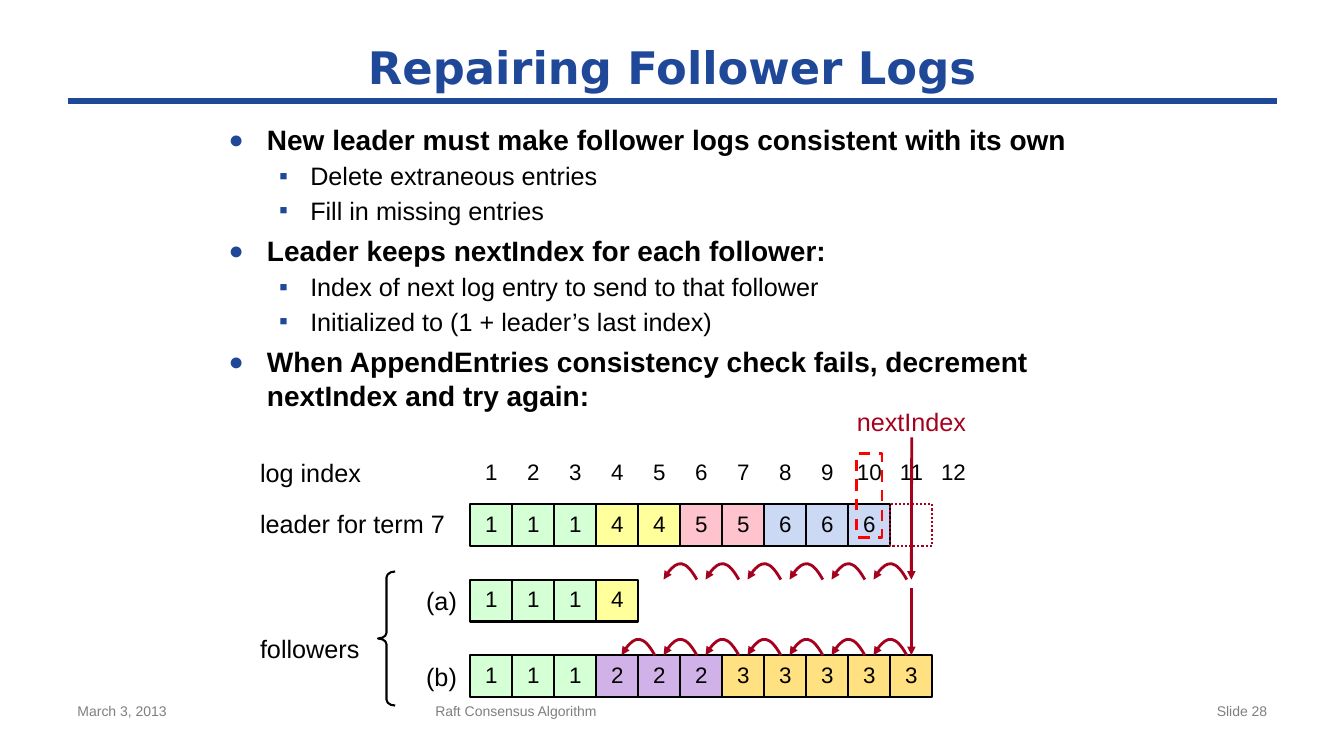
"""Build the slide on repairing follower logs in Raft."""
from dataclasses import dataclass, field

from lxml import etree
from pptx import Presentation
from pptx.dml.color import RGBColor
from pptx.enum.dml import MSO_LINE
from pptx.enum.shapes import MSO_CONNECTOR, MSO_SHAPE
from pptx.enum.text import MSO_ANCHOR, PP_ALIGN
from pptx.oxml.ns import qn
from pptx.shapes.autoshape import Shape
from pptx.shapes.connector import Connector
from pptx.slide import Slide
from pptx.text.text import TextFrame, _Paragraph
from pptx.util import Inches, Pt

LEFT, CENTER, RIGHT = PP_ALIGN.LEFT, PP_ALIGN.CENTER, PP_ALIGN.RIGHT
TOP, MIDDLE = MSO_ANCHOR.TOP, MSO_ANCHOR.MIDDLE
RECTANGLE, LEFT_BRACE = MSO_SHAPE.RECTANGLE, MSO_SHAPE.LEFT_BRACE
STRAIGHT = MSO_CONNECTOR.STRAIGHT
DASH, DOT = MSO_LINE.DASH, MSO_LINE.ROUND_DOT
TOP_SIDE, BOTTOM_SIDE = 0, 2


@dataclass(frozen=True)
class Theme:
    blue: str = "1F4899"
    black: str = "000000"
    gray: str = "7F7F7F"
    crimson: str = "A5001E"
    red: str = "FF0000"
    body_font: str = "Arial"
    title_font: str = "DejaVu Sans"
    title_size: int = 32
    point_size: int = 20
    label_size: int = 18
    cell_size: int = 16
    footer_size: int = 10
    terms: dict[str, str] = field(default_factory=lambda: {
        "1": "D5FFD5", "2": "D1B2E8", "3": "FFE181",
        "4": "FFFF9B", "5": "FFC3CE", "6": "CCD9F4"})


THEME = Theme()
CELL = 5 / 12
LOG_LEFT = 14 / 3
INDEX_COUNT = 12
ARC_LEFT, ARC_WIDTH, ARC_RISE = 26 / 3, 0.33, 0.15


@dataclass(frozen=True)
class TextStyle:
    size: int = THEME.label_size
    color: str = THEME.black
    font: str = THEME.body_font
    bold: bool = False
    align: PP_ALIGN = LEFT
    spacing: int | None = None


@dataclass(frozen=True)
class Label:
    text: str
    left: float
    top: float
    width: float
    height: float
    style: TextStyle = TextStyle()
    padded: bool = False
    wrap: bool = True
    anchor: MSO_ANCHOR = TOP


@dataclass(frozen=True)
class Level:
    bullet: str
    percent: int
    margin: float
    indent: float
    before: int
    style: TextStyle


@dataclass(frozen=True)
class Log:
    top: float
    terms: str
    arcs: int = 0


FOOTER = TextStyle(THEME.footer_size, THEME.gray)
FOOTER_RIGHT = TextStyle(THEME.footer_size, THEME.gray, align=RIGHT)
TITLE = TextStyle(THEME.title_size, THEME.blue, THEME.title_font, True, CENTER)
CELL_TEXT = TextStyle(THEME.cell_size, align=CENTER, spacing=17)
INDEX_TEXT = TextStyle(THEME.cell_size, align=CENTER)
TIGHT = TextStyle(spacing=19)
CENTERED = TextStyle(align=CENTER)
NEXT_INDEX = Label("nextIndex", 8.5, 4.07, 1.09, 0.27,
                   TextStyle(color=THEME.crimson, spacing=19), wrap=False)

LABELS = (
    Label("Repairing Follower Logs", 0.67, 0.33, 12, 0.67, TITLE, True, anchor=MIDDLE),
    Label("March 3, 2013", 0.67, 6.92, 3.11, 0.43, FOOTER, True),
    Label("Raft Consensus Algorithm", 4.22, 6.92, 5, 0.43, FOOTER, True),
    Label("Slide 28", 9.56, 6.92, 3.11, 0.43, FOOTER_RIGHT, True),
    Label("log index", 2.58, 4.54, 1.25, 0.3),
    Label("leader for term 7", 2.58, 5.08, 2, 0.27, TIGHT),
    Label("followers", 2.58, 6.32, 1, 0.27, TIGHT),
    Label("(a)", 4.17, 5.81, 0.42, 0.3, CENTERED),
    Label("(b)", 4.17, 6.56, 0.42, 0.3, CENTERED),
)
POINT = Level("●", 90, 0.38, -0.38, 6, TextStyle(THEME.point_size, bold=True))
DETAIL = Level("▪", 100, 0.81, -0.31, 3, TextStyle())
POINTS = (
    (POINT, "New leader must make follower logs consistent with its own"),
    (DETAIL, "Delete extraneous entries"),
    (DETAIL, "Fill in missing entries"),
    (POINT, "Leader keeps nextIndex for each follower:"),
    (DETAIL, "Index of next log entry to send to that follower"),
    (DETAIL, "Initialized to (1 + leader’s last index)"),
    (POINT, "When AppendEntries consistency check fails, decrement nextIndex and try again:"),
)
LOGS = (Log(5, "1114455666"), Log(5.75, "1114", 6), Log(6.5, "11122233333", 7))


def set_values(target: object, values: dict[str, object]) -> None:
    for name, value in values.items():
        setattr(target, name, value)


def write(para: _Paragraph, text: str, style: TextStyle) -> None:
    para.alignment = style.align
    if style.spacing:
        para.line_spacing = Pt(style.spacing)
    span = para.add_run()
    span.text = text
    set_values(span.font, {"size": Pt(style.size), "name": style.font, "bold": style.bold})
    span.font.color.rgb = RGBColor.from_string(style.color)


def format_frame(frame: TextFrame, padded: bool, wrap: bool, anchor: MSO_ANCHOR) -> None:
    side, edge = (Inches(0.1), Inches(0.05)) if padded else (0, 0)
    set_values(frame, {"margin_left": side, "margin_right": side, "margin_top": edge,
                       "margin_bottom": edge, "word_wrap": wrap, "vertical_anchor": anchor})


def add_label(page: Slide, label: Label) -> Shape:
    box = page.shapes.add_textbox(*map(Inches, (label.left, label.top, label.width, label.height)))
    format_frame(box.text_frame, label.padded, label.wrap, label.anchor)
    write(box.text_frame.paragraphs[0], label.text, label.style)
    return box


def add_points(page: Slide) -> None:
    box = page.shapes.add_textbox(Inches(2.17), Inches(1.17), Inches(9), Inches(3.33))
    frame = box.text_frame
    format_frame(frame, True, True, TOP)
    for number, (level, text) in enumerate(POINTS):
        para = frame.add_paragraph() if number else frame.paragraphs[0]
        properties = para._p.get_or_add_pPr()
        properties.set("marL", str(Inches(level.margin)))
        properties.set("indent", str(Inches(level.indent)))
        color = etree.SubElement(properties, qn("a:buClr"))
        etree.SubElement(color, qn("a:srgbClr"), val=THEME.blue)
        etree.SubElement(properties, qn("a:buSzPct"), val=str(level.percent * 1000))
        etree.SubElement(properties, qn("a:buFont"), typeface=THEME.body_font)
        etree.SubElement(properties, qn("a:buChar"), char=level.bullet)
        para.space_before = Pt(level.before if number else 0)
        write(para, text, level.style)


def style_line(shape: Shape | Connector, color: str, width: float, arrow: bool = False) -> None:
    shape.line.color.rgb = RGBColor.from_string(color)
    shape.line.width = Pt(width)
    if arrow:
        etree.SubElement(shape.line._get_or_add_ln(), qn("a:tailEnd"), type="triangle")


def add_outline(page: Slide, kind: MSO_SHAPE, left: float, top: float, width: float,
                height: float, color: str, weight: float) -> Shape:
    shape = page.shapes.add_shape(kind, *map(Inches, (left, top, width, height)))
    shape.shadow.inherit = False
    shape.fill.background()
    style_line(shape, color, weight)
    return shape


def add_line(page: Slide, start: tuple[float, float], end: tuple[float, float],
             color: str, width: float, arrow: bool = False) -> Connector:
    line = page.shapes.add_connector(STRAIGHT, *map(Inches, (*start, *end)))
    style_line(line, color, width, arrow)
    etree.SubElement(line._element.spPr, qn("a:effectLst"))
    return line


def add_arc(page: Slide, left: float, bottom: float) -> None:
    builder = page.shapes.build_freeform(Inches(left + ARC_WIDTH), Inches(bottom))
    builder.add_line_segments([(Inches(left + ARC_WIDTH / 2), Inches(bottom - ARC_RISE)),
                               (Inches(left), Inches(bottom))], close=False)
    arc = builder.convert_to_shape()
    segments = list(arc._element.iter(qn("a:lnTo")))
    outline = segments[0].getparent()
    for segment in segments:
        outline.remove(segment)
    curve = etree.SubElement(outline, qn("a:cubicBezTo"))
    for across, down in ((2 / 3, -1 / 3), (1 / 3, -1 / 3), (0, 1)):
        etree.SubElement(curve, qn("a:pt"), x=str(Inches(ARC_WIDTH * across)),
                         y=str(Inches(ARC_RISE * down)))
    arc.shadow.inherit = False
    arc.fill.background()
    style_line(arc, THEME.crimson, 2, True)


def add_log(page: Slide, log: Log) -> Shape:
    for position, term in enumerate(log.terms):
        cell = add_outline(page, RECTANGLE, LOG_LEFT + position * CELL, log.top,
                           CELL, CELL, THEME.black, 1.5)
        cell.fill.solid()
        cell.fill.fore_color.rgb = RGBColor.from_string(THEME.terms[term])
        format_frame(cell.text_frame, False, True, MIDDLE)
        write(cell.text_frame.paragraphs[0], term, CELL_TEXT)
    for step in range(log.arcs):
        add_arc(page, ARC_LEFT - step * CELL, log.top)
    return cell


def main() -> None:
    deck = Presentation()
    set_values(deck, {"slide_width": Inches(40 / 3), "slide_height": Inches(7.5)})
    page = deck.slides.add_slide(deck.slide_layouts[6])
    add_line(page, (0.67, 1), (12.67, 1), THEME.blue, 4)
    add_points(page)
    for label in LABELS:
        add_label(page, label)
    for index in range(1, INDEX_COUNT + 1):
        width = CELL if index < 10 else 0.58
        left = LOG_LEFT + (index - 0.5) * CELL - width / 2
        add_label(page, Label(str(index), left, 4.5, width, 0.37, INDEX_TEXT, True))
    last_cells = [add_log(page, log) for log in LOGS]
    brace = add_outline(page, LEFT_BRACE, 3.75, 5.67, 0.17, 1.33, THEME.black, 1.5)
    brace.adjustments[0] = 0.34
    next_index = add_label(page, NEXT_INDEX)
    next_left = LOG_LEFT + 10 * CELL
    center = next_left + CELL / 2
    arrow = add_line(page, (center, 4.34), (center, 5.75), THEME.crimson, 2, True)
    arrow.begin_connect(next_index, BOTTOM_SIDE)
    arrow = add_line(page, (center, 5.83), (center, 6.5), THEME.crimson, 2, True)
    arrow.end_connect(last_cells[-1], TOP_SIDE)
    next_slot = add_outline(page, RECTANGLE, next_left, 5, CELL, CELL, THEME.crimson, 1.5)
    next_slot.line.dash_style = DOT
    check = add_outline(page, RECTANGLE, 8.5, 4.5, 0.25, 0.83, THEME.red, 2)
    check.line.dash_style = DASH
    deck.save("out.pptx")


if __name__ == "__main__":
    main()
